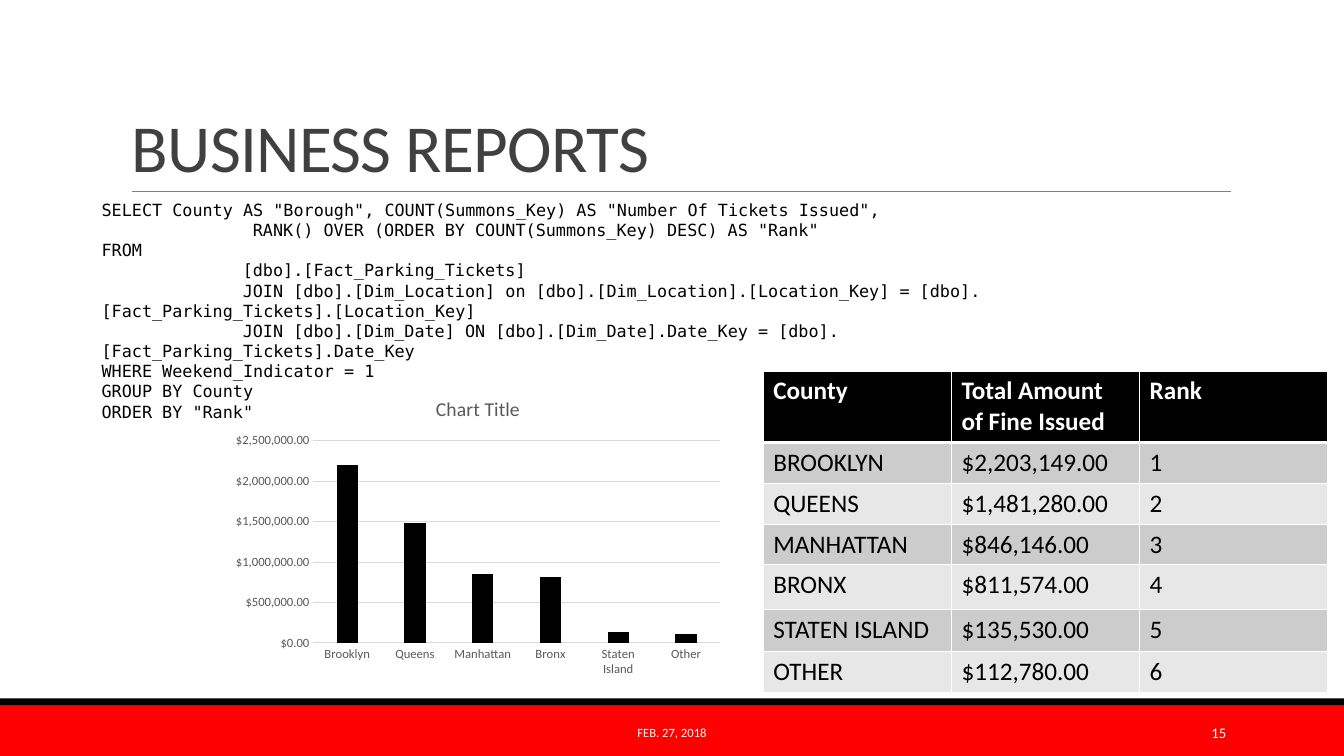
from pptx import Presentation
from pptx.chart.data import CategoryChartData
from pptx.dml.color import RGBColor
from pptx.enum.chart import XL_CHART_TYPE, XL_TICK_MARK
from pptx.enum.shapes import MSO_CONNECTOR, MSO_SHAPE
from pptx.enum.text import MSO_ANCHOR, PP_ALIGN
from pptx.oxml.ns import qn
from pptx.util import Inches, Pt
from lxml.etree import SubElement

BLACK = RGBColor(0, 0, 0)
WHITE = RGBColor(255, 255, 255)
RED = RGBColor(255, 0, 0)
TITLE_GRAY = RGBColor(0x40, 0x40, 0x40)
LABEL_GRAY = RGBColor(0x59, 0x59, 0x59)
RULE_GRAY = RGBColor(0x80, 0x80, 0x80)
GRID_GRAY = RGBColor(0xD9, 0xD9, 0xD9)
BANDS = (RGBColor(0xCC, 0xCC, 0xCC), RGBColor(0xE7, 0xE7, 0xE7))
SANS = "Calibri"
MONO = "DejaVu Sans Mono"
CODE_CHARACTER = 0.1

FINES = [
    ("Brooklyn", 2203149),
    ("Queens", 1481280),
    ("Manhattan", 846146),
    ("Bronx", 811574),
    ("Staten Island", 135530),
    ("Other", 112780),
]
HEADINGS = ("County", "Total Amount of Fine Issued", "Rank")
QUERY = [
    (0, 'SELECT County AS "Borough", COUNT(Summons_Key) AS "Number Of Tickets Issued",'),
    (15, 'RANK() OVER (ORDER BY COUNT(Summons_Key) DESC) AS "Rank"'),
    (0, "FROM"),
    (14, "[dbo].[Fact_Parking_Tickets]"),
    (14, "JOIN [dbo].[Dim_Location] on [dbo].[Dim_Location].[Location_Key] = "
         "[dbo].[Fact_Parking_Tickets].[Location_Key]"),
    (14, "JOIN [dbo].[Dim_Date] ON [dbo].[Dim_Date].Date_Key = "
         "[dbo].[Fact_Parking_Tickets].Date_Key"),
    (0, "WHERE Weekend_Indicator = 1"),
    (0, "GROUP BY County"),
    (0, 'ORDER BY "Rank"'),
]


def set_font(font, size, color, name=SANS, bold=False):
    font.size, font.name, font.bold = Pt(size), name, bold
    font.color.rgb = color


def write(para, text, size=18, color=BLACK, name=SANS, bold=False,
          align=None, line_spacing=None, indent=0, tracking=0):
    span = para.add_run()
    span.text = text
    set_font(span.font, size, color, name, bold)
    para.alignment = align
    para.line_spacing = line_spacing
    if indent:
        para._p.get_or_add_pPr().set("indent", str(Inches(indent)))
    if tracking:
        span.font._element.set("spc", str(tracking))


def add_frame(page, box, anchor=MSO_ANCHOR.MIDDLE):
    frame = page.shapes.add_textbox(*map(Inches, box)).text_frame
    frame.word_wrap = True
    frame.vertical_anchor = anchor
    return frame


def add_bar(page, box, color):
    bar = page.shapes.add_shape(MSO_SHAPE.RECTANGLE, *map(Inches, box))
    bar.shadow.inherit = False
    bar.fill.solid()
    bar.fill.fore_color.rgb = color
    bar.line.fill.background()


def add_footer(page, box, date, number):
    left, top, width, height = box
    stripe = 0.07
    add_bar(page, box, RED)
    add_bar(page, (left, top - stripe, width, stripe), BLACK)
    text_top = top + 0.07
    date_frame = add_frame(page, (left + 4.03, text_top, 5.27, 0.4))
    write(date_frame.paragraphs[0], date, size=9, color=WHITE, align=PP_ALIGN.CENTER)
    number_frame = add_frame(page, (left + 10.83, text_top, 1.43, 0.4))
    write(number_frame.paragraphs[0], number, size=10.5, color=WHITE, align=PP_ALIGN.RIGHT)


def add_title(page, box, text):
    left, top, width, height = box
    bottom = Inches(top + height)
    rule = page.shapes.add_connector(MSO_CONNECTOR.STRAIGHT, Inches(left + 0.1), bottom,
                                     Inches(left + width), bottom)
    rule.line.color.rgb = RULE_GRAY
    rule.line.width = Pt(0.5)
    SubElement(rule._element.spPr, qn("a:effectLst"))
    frame = add_frame(page, box, MSO_ANCHOR.BOTTOM)
    write(frame.paragraphs[0], text, size=48, color=TITLE_GRAY,
          line_spacing=0.85, tracking=-50)


def add_query(page, box):
    frame = add_frame(page, box)
    for index, (characters, text) in enumerate(QUERY):
        para = frame.add_paragraph() if index else frame.paragraphs[0]
        write(para, text, size=12, name=MONO, indent=characters * CODE_CHARACTER)


def style_cell(cell, color, top_width, bottom_width):
    properties = cell._tc.get_or_add_tcPr()
    for side, width in zip("LRTB", (1, 1, top_width, bottom_width)):
        border = SubElement(properties, qn(f"a:ln{side}"), w=str(Pt(width)))
        SubElement(SubElement(border, qn("a:solidFill")), qn("a:srgbClr"), val=str(WHITE))
    cell.fill.solid()
    cell.fill.fore_color.rgb = color


def add_fine_table(page, box):
    rows = [HEADINGS] + [(county.upper(), f"${fine:,.2f}", str(rank))
                         for rank, (county, fine) in enumerate(FINES, 1)]
    table = page.shapes.add_table(len(rows), len(HEADINGS), *map(Inches, box)).table
    for column in table.columns:
        column.width = Inches(box[2] / len(HEADINGS))
    heights = (0.71, 0.41, 0.4, 0.4, 0.45, 0.41, 0.41)
    for row_index, (values, height) in enumerate(zip(rows, heights)):
        table.rows[row_index].height = Inches(height)
        heading = row_index == 0
        for column_index, value in enumerate(values):
            cell = table.cell(row_index, column_index)
            style_cell(cell, BLACK if heading else BANDS[(row_index - 1) % 2],
                       3 if row_index == 1 else 1, 3 if heading else 1)
            write(cell.text_frame.paragraphs[0], value,
                  color=WHITE if heading else BLACK, bold=heading)


def add_fine_chart(page, box):
    data = CategoryChartData()
    data.categories = [county for county, fine in FINES]
    data.add_series("Series 1", [round(fine, -4) for county, fine in FINES])
    chart = page.shapes.add_chart(XL_CHART_TYPE.COLUMN_CLUSTERED,
                                  *map(Inches, box), data).chart
    set_font(chart.font, 10, BLACK)
    chart.has_legend = False
    chart.has_title = True
    write(chart.chart_title.text_frame.paragraphs[0], "Chart Title", size=14, color=LABEL_GRAY)
    chart.chart_title.include_in_layout = False
    plot = chart.plots[0]
    plot.gap_width, plot.overlap, plot.vary_by_categories = 219, -27, False
    fill = plot.series[0].format.fill
    fill.solid()
    fill.fore_color.rgb = BLACK
    for axis in (chart.category_axis, chart.value_axis):
        axis.major_tick_mark = axis.minor_tick_mark = XL_TICK_MARK.NONE
        set_font(axis.tick_labels.font, 9, LABEL_GRAY)
    values = chart.value_axis
    values.minimum_scale, values.maximum_scale, values.major_unit = 0, 2500000, 500000
    values.tick_labels.number_format = '"$"#,##0.00'
    values.tick_labels.number_format_is_linked = False
    values.format.line.fill.background()
    for line in (chart.category_axis.format.line, values.major_gridlines.format.line):
        line.color.rgb = GRID_GRAY
        line.width = Pt(0.75)


def add_report_page(deck):
    page = deck.slides.add_slide(deck.slide_layouts[6])
    add_footer(page, (0, 7, 13.33, 0.5), "FEB. 27, 2018", "15")
    add_title(page, (1.21, 0.31, 11, 1.59), "BUSINESS REPORTS")
    add_fine_table(page, (7.57, 3.68, 5.6, 3.19))
    add_query(page, (0.91, 2.12, 9.33, 1.92))
    add_fine_chart(page, (2.24, 3.77, 5, 3))


deck = Presentation()
deck.slide_width, deck.slide_height = Inches(13.33), Inches(7.5)
add_report_page(deck)
deck.save("out.pptx")
